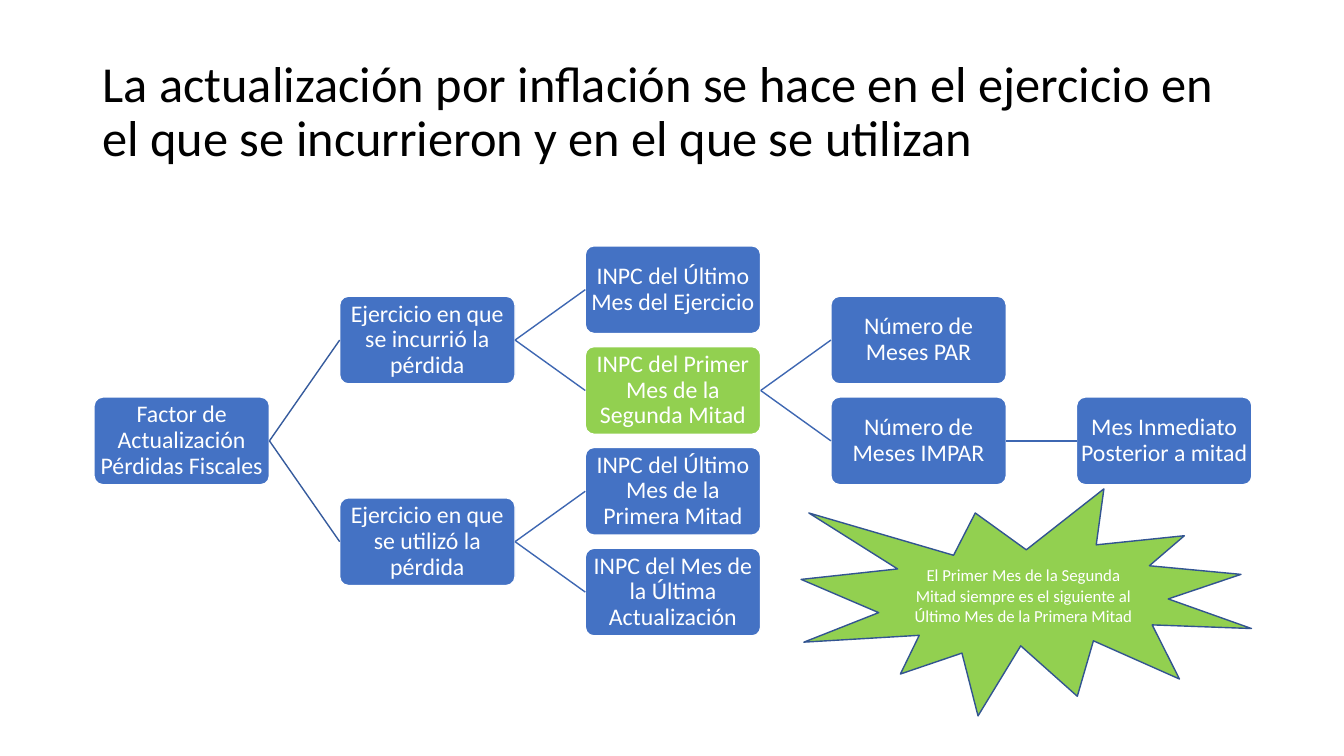
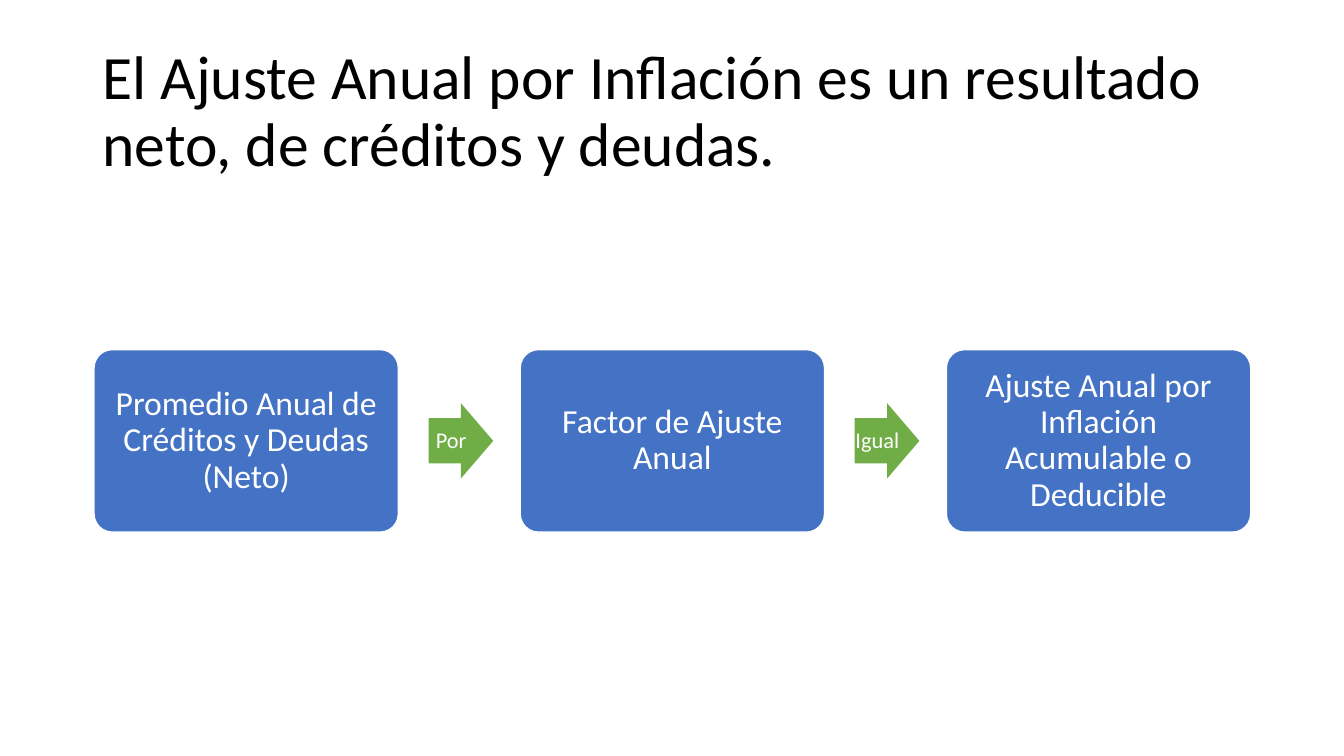
from lxml.etree import SubElement
from pptx import Presentation
from pptx.dml.color import RGBColor
from pptx.enum.shapes import MSO_CONNECTOR, MSO_SHAPE
from pptx.enum.text import MSO_ANCHOR, MSO_AUTO_SIZE, PP_ALIGN
from pptx.oxml.ns import qn
from pptx.util import Cm, Pt

BLACK = RGBColor(0x00, 0x00, 0x00)
WHITE = RGBColor(0xFF, 0xFF, 0xFF)
BLUE = RGBColor(0x44, 0x72, 0xC4)
NAVY = RGBColor(0x32, 0x54, 0x91)
ROOT_LINK = RGBColor(0x36, 0x5B, 0x9D)
LINK = RGBColor(0x3E, 0x67, 0xB2)
LIME = RGBColor(0x92, 0xD0, 0x50)
GREEN = RGBColor(0x70, 0xAD, 0x47)

FONT = "Calibri"
TITLE_ONLY = 5
LEFT_SITE, RIGHT_SITE = 1, 3
DIAGRAM_LEFT = 2.37
DIAGRAM_MIDDLE = 11.11


class Deck:
    """Holds the shared style and the slide being built; lengths are in cm."""

    def __init__(self):
        self.prs = Presentation()
        self.prs.slide_width = Cm(33.87)
        self.prs.slide_height = Cm(19.05)
        self.slide = None

    def set_text(self, shape, text, size, color, align, spacing):
        frame = shape.text_frame
        frame.text = text
        frame.word_wrap = True
        frame.auto_size = MSO_AUTO_SIZE.NONE
        frame.vertical_anchor = MSO_ANCHOR.MIDDLE
        paragraph = frame.paragraphs[0]
        paragraph.alignment = align
        paragraph.line_spacing = spacing
        paragraph.font.name = FONT
        paragraph.font.size = Pt(size)
        paragraph.font.color.rgb = color
        return frame

    def new_slide(self, title, size):
        layout = self.prs.slide_layouts[TITLE_ONLY]
        self.slide = self.prs.slides.add_slide(layout)
        heading = self.slide.shapes.title
        heading.left, heading.top = Cm(2.33), Cm(1.01)
        heading.width, heading.height = Cm(29.21), Cm(3.68)
        self.set_text(heading, title, size, BLACK, PP_ALIGN.LEFT, 0.9)

    def figure(self, kind, x, y, w, h, text, size, fill,
               line=None, inset=None, spacing=0.9):
        shape = self.slide.shapes.add_shape(kind, Cm(x), Cm(y), Cm(w), Cm(h))
        shape.shadow.inherit = False
        shape.fill.solid()
        shape.fill.fore_color.rgb = fill
        if line is None:
            shape.line.fill.background()
        else:
            shape.line.color.rgb = line
            shape.line.width = Pt(1)
        frame = self.set_text(shape, text, size, WHITE, PP_ALIGN.CENTER, spacing)
        if inset is not None:
            frame.margin_left = frame.margin_right = Cm(inset)
            frame.margin_top = frame.margin_bottom = Cm(inset)
        return shape

    def box(self, x, y, w, h, text, size, inset, fill=BLUE):
        box = self.figure(MSO_SHAPE.ROUNDED_RECTANGLE, x, y, w, h, text, size,
                          fill, line=WHITE, inset=inset)
        box.adjustments[0] = 0.1
        return box

    def arrow(self, x, y, w, h, text, size):
        arrow = self.figure(MSO_SHAPE.RIGHT_ARROW, x, y, w, h, text, size,
                            GREEN, inset=0)
        arrow.adjustments[0] = 0.6
        arrow.adjustments[1] = 0.5
        arrow.text_frame.word_wrap = False

    def link(self, parent, child, color):
        link = self.slide.shapes.add_connector(MSO_CONNECTOR.STRAIGHT, 0, 0, 0, 0)
        link.begin_connect(parent, RIGHT_SITE)
        link.end_connect(child, LEFT_SITE)
        link.line.color.rgb = color
        link.line.width = Pt(1)
        SubElement(link._element.spPr, qn("a:effectLst"))


def build_loss_update(deck):
    deck.new_slide("La actualización por inflación se hace en el ejercicio en "
                   "el que se incurrieron y en el que se utilizan", 36)

    # Tree: key, parent, column, half rows from the middle, text
    nodes = [
        ("factor", None, 0, 0, "Factor de Actualización Pérdidas Fiscales"),
        ("incurred", "factor", 1, -2, "Ejercicio en que se incurrió la pérdida"),
        ("used", "factor", 1, 2, "Ejercicio en que se utilizó la pérdida"),
        ("year end", "incurred", 2, -3, "INPC del Último Mes del Ejercicio"),
        ("second half", "incurred", 2, -1, "INPC del Primer Mes de la Segunda Mitad"),
        ("first half", "used", 2, 1, "INPC del Último Mes de la Primera Mitad"),
        ("last update", "used", 2, 3, "INPC del Mes de la Última Actualización"),
        ("even", "second half", 3, -2, "Número de Meses PAR"),
        ("odd", "second half", 3, 0, "Número de Meses IMPAR"),
        ("next month", "odd", 4, 0, "Mes Inmediato Posterior a mitad"),
    ]
    width, height, column_step, half_row = 4.42, 2.21, 6.19, 1.27
    boxes = {}
    for key, parent, column, row, text in nodes:
        x = DIAGRAM_LEFT + column * column_step
        y = DIAGRAM_MIDDLE - height / 2 + row * half_row
        fill = LIME if key == "second half" else BLUE
        boxes[key] = deck.box(x, y, width, height, text, 17, 0.02, fill)
        if parent:
            color = ROOT_LINK if parent == "factor" else LINK
            deck.link(boxes[parent], boxes[key], color)

    # Burst with the remark on the green box
    deck.figure(MSO_SHAPE.EXPLOSION1, 20.19, 12.32, 11.35, 5.72,
                "El Primer Mes de la Segunda Mitad siempre es el siguiente al "
                "Último Mes de la Primera Mitad", 12, LIME, line=NAVY, spacing=1.0)


def build_annual_adjustment(deck):
    deck.new_slide("El Ajuste Anual por Inflación es un resultado neto, "
                   "de créditos y deudas.", 44)

    # Steps, each with the operator that follows it
    steps = [
        ("Promedio Anual de Créditos y Deudas (Neto)", "Por"),
        ("Factor de Ajuste Anual", "Igual"),
        ("Ajuste Anual por Inflación Acumulable o Deducible", None),
    ]
    width, height, step = 7.67, 4.6, 10.74
    arrow_width, arrow_height, arrow_offset = 1.63, 1.9, 8.43
    for index, (text, operator) in enumerate(steps):
        x = DIAGRAM_LEFT + index * step
        deck.box(x, DIAGRAM_MIDDLE - height / 2, width, height, text, 24, 0.25)
        if operator:
            deck.arrow(x + arrow_offset, DIAGRAM_MIDDLE - arrow_height / 2,
                       arrow_width, arrow_height, operator, 16)


def main():
    deck = Deck()
    build_loss_update(deck)
    build_annual_adjustment(deck)
    deck.prs.save("out.pptx")


if __name__ == "__main__":
    main()
